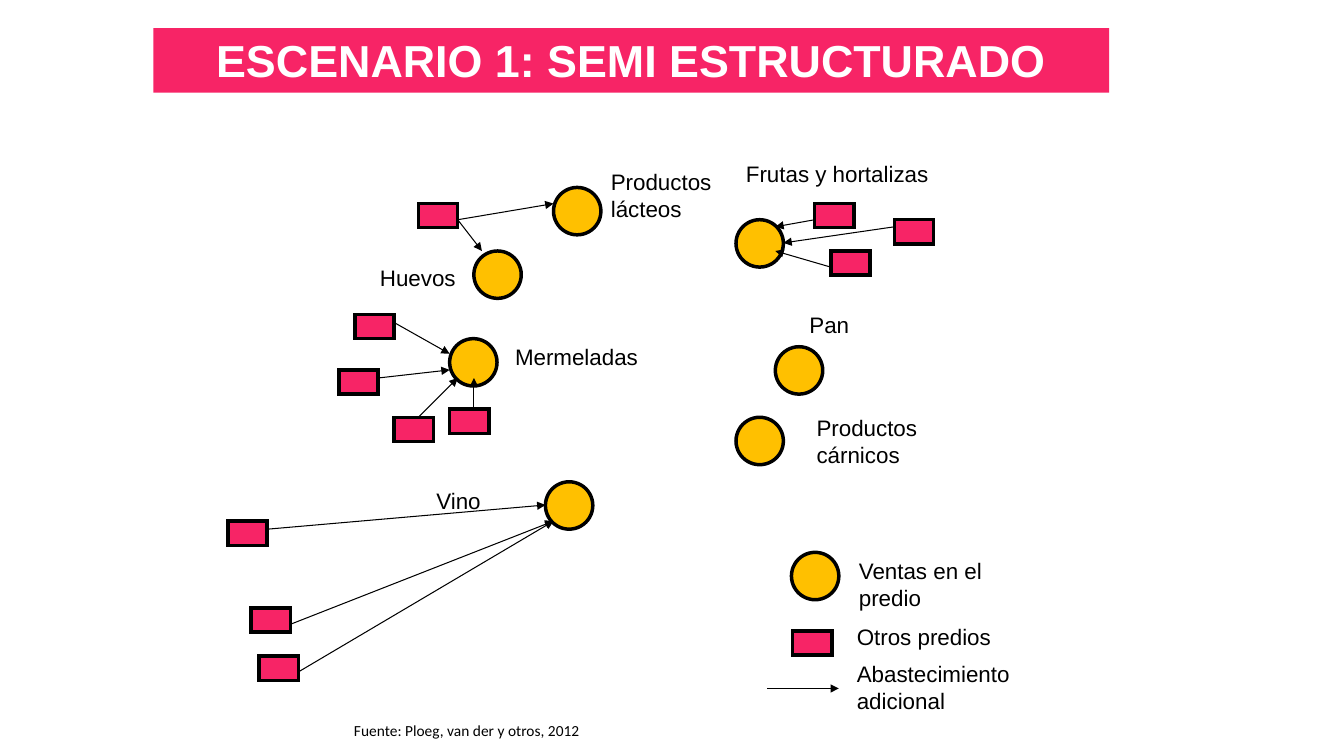
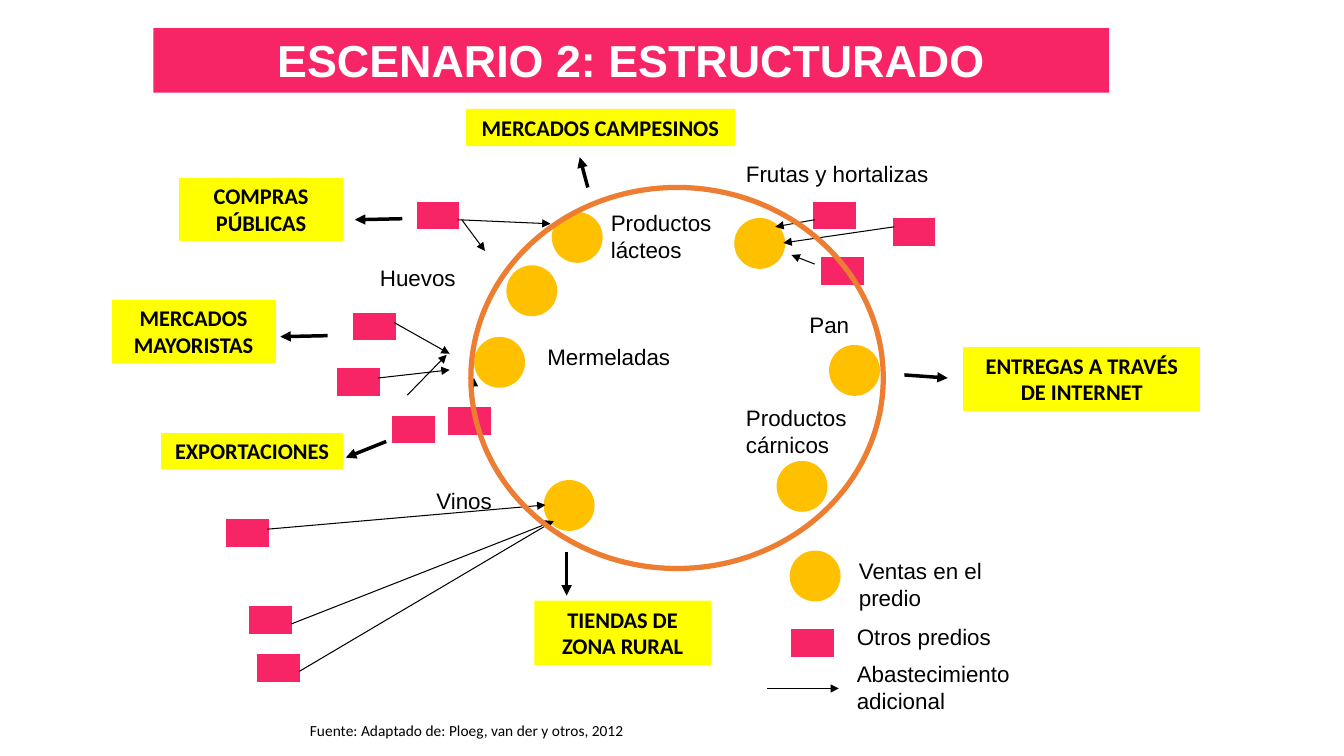
"""Build two slides that map farm sales scenarios."""
from lxml import etree
from pptx import Presentation
from pptx import util as u
from pptx.dml.color import RGBColor
from pptx.enum import shapes, text
from pptx.oxml.ns import qn

PX = 9144
HUES = {"pink": "F72466", "gold": "FFC000", "black": "000000", "white": "FFFFFF",
        "ring": "ED7D31", "yellow": "FFFF00"}
OVAL, RECT = shapes.MSO_SHAPE.OVAL, shapes.MSO_SHAPE.RECTANGLE
MID, TOP = text.MSO_ANCHOR.MIDDLE, text.MSO_ANCHOR.TOP
DISC, FARM = (47, 47), (39, 24)
ONE, TWO = 37, 64

DISCS = [(730, 218), (541, 478), (785, 548)]
FARMS = [(352, 312), (336, 367), (391, 414), (415, 202), (446, 406), (786, 626),
         (808, 202), (887, 218), (249, 603), (257, 651), (226, 517)]
ARROWS = [(391, 320, 446, 351), (375, 375, 446, 367), (470, 406, 470, 375),
          (808, 218, 769, 225), (887, 225, 777, 241), (761, 683, 832, 683),
          (289, 619, 549, 517), (265, 525, 541, 501), (297, 666, 549, 517)]
LABELS = [("Ventas en el predio", 842, 548, 189, TWO),
          ("Otros predios", 840, 613, 165, ONE),
          ("Abastecimiento adicional", 840, 650, 244, TWO),
          ("Frutas y hortalizas", 730, 154, 384, ONE),
          ("Pan", 793, 304, 134, ONE),
          ("Huevos", 367, 257, 103, ONE)]

LOOSE = {
    "title": "ESCENARIO 1: SEMI ESTRUCTURADO",
    "source": "Fuente: Ploeg, van der y otros, 2012",
    "edges": ("black", "black"),
    "discs": [(470, 249), (549, 186), (769, 344), (446, 336), (730, 414)],
    "farms": [(824, 249)],
    "arrows": [(415, 414, 454, 375), (454, 218, 478, 249), (454, 218, 549, 202),
               (824, 265, 769, 249)],
    "labels": [("Productos lácteos", 596, 162, 165, TWO),
               ("Productos cárnicos", 800, 406, 205, TWO),
               ("Mermeladas", 501, 336, 154, ONE),
               ("Vino", 423, 478, 110, ONE)],
}
TIGHT = {
    "title": "ESCENARIO 2: ESTRUCTURADO",
    "source": "Fuente: Adaptado de: Ploeg, van der y otros, 2012",
    "edges": ("gold", "pink"),
    "discs": [(504, 265), (549, 212), (824, 344), (472, 336), (772, 459)],
    "farms": [(816, 257)],
    "arrows": [(404, 392, 443, 352), (458, 218, 481, 249), (454, 218, 546, 222),
               (808, 262, 785, 253)],
    "labels": [("Productos lácteos", 596, 203, 165, TWO),
               ("Productos cárnicos", 730, 396, 205, TWO),
               ("Mermeladas", 533, 336, 154, ONE),
               ("Vinos", 423, 478, 110, ONE)],
}
RING = (467, 186, 409, 378)
OUTLETS = [("TIENDAS DE ZONA RURAL", 530, 596, 175, TWO, 0),
           ("COMPRAS PÚBLICAS", 177, 176, 164, TWO, 1),
           ("ENTREGAS A TRAVÉS DE INTERNET", 955, 344, 236, TWO, 0.75),
           ("MERCADOS CAMPESINOS", 462, 108, 267, ONE, 0),
           ("MERCADOS MAYORISTAS", 110, 297, 164, TWO, 1),
           ("EXPORTACIONES", 159, 429, 182, ONE, 1)]
EXITS = [(399, 217, 352, 218), (325, 333, 278, 334), (383, 438, 343, 454),
         (562, 548, 562, 591), (897, 372, 940, 375), (583, 186, 575, 156)]


def rgb(name):
    """Return a named colour."""
    return RGBColor.from_string(HUES[name])


def span(*nums):
    """Turn px into EMU."""
    return [n * PX for n in nums]


def write(shape, words, size, font="Arial", hue="black", bold=False,
          align=text.PP_ALIGN.LEFT, anchor=TOP):
    """Put one run of text in a shape."""
    frame = shape.text_frame
    frame.word_wrap = True
    frame.auto_size = text.MSO_AUTO_SIZE.SHAPE_TO_FIT_TEXT
    frame.vertical_anchor = anchor
    para = frame.paragraphs[0]
    para.alignment = align
    run = para.add_run()
    run.text = words
    run.font.size = u.Pt(size)
    run.font.name = font
    run.font.bold = bold
    run.font.color.rgb = rgb(hue)


def block(slide, kind, box, fill=None, edge=None, width=2.5):
    """Add a preset shape with optional fill and sharp edge."""
    shape = slide.shapes.add_shape(kind, *span(*box))
    shape.shadow.inherit = False
    if fill:
        shape.fill.solid()
        shape.fill.fore_color.rgb = rgb(fill)
    else:
        shape.fill.background()
    if edge:
        shape.line.color.rgb = rgb(edge)
        shape.line.width = u.Pt(width)
        etree.SubElement(shape.line._get_or_add_ln(), qn("a:miter"), lim="800000")
    else:
        shape.line.fill.background()
    return shape


def arrow(slide, ends, width=0.75):
    """Add a straight arrow."""
    line = slide.shapes.add_connector(shapes.MSO_CONNECTOR.STRAIGHT, *span(*ends))
    line.line.color.rgb = rgb("black")
    line.line.width = u.Pt(width)
    etree.SubElement(line.line._get_or_add_ln(), qn("a:tailEnd"), type="triangle")
    etree.SubElement(line._element.spPr, qn("a:effectLst"))


def label(slide, words, *box, size=16, **style):
    """Add a plain text box."""
    write(slide.shapes.add_textbox(*span(*box)), words, size, **style)


def banner(slide, words):
    """Add the title band."""
    band = block(slide, RECT, (152, 28, 948, 64), "pink")
    write(band, words, 32, hue="white", bold=True, align=text.PP_ALIGN.CENTER)


def outlet(slide, words, *box, width):
    """Add a yellow sales outlet."""
    tag = block(slide, RECT, box, "yellow", "white" if width else None, width)
    write(tag, words, 16, "Calibri", bold=True, align=text.PP_ALIGN.CENTER)


def scene(deck, data):
    """Add a slide with its map, legend, title and source."""
    slide = deck.slides.add_slide(deck.slide_layouts[6])
    rim, side = data["edges"]
    for spot in DISCS + data["discs"]:
        block(slide, OVAL, spot + DISC, "gold", rim)
    for spot in FARMS + data["farms"]:
        block(slide, RECT, spot + FARM, "pink", side)
    for ends in ARROWS + data["arrows"]:
        arrow(slide, ends)
    for item in LABELS + data["labels"]:
        label(slide, *item)
    banner(slide, data["title"])
    label(slide, data["source"], 242, 710, 442, 29, size=11, font="Calibri",
          align=text.PP_ALIGN.CENTER, anchor=MID)
    return slide


def main():
    """Build and save the deck."""
    deck = Presentation()
    deck.slide_width, deck.slide_height = span(1333, 750)
    scene(deck, LOOSE)
    slide = scene(deck, TIGHT)
    block(slide, OVAL, RING, edge="ring", width=3.75)
    for *item, width in OUTLETS:
        outlet(slide, *item, width=width)
    for ends in EXITS:
        arrow(slide, ends, 2.5)
    deck.save("out.pptx")


if __name__ == "__main__":
    main()
